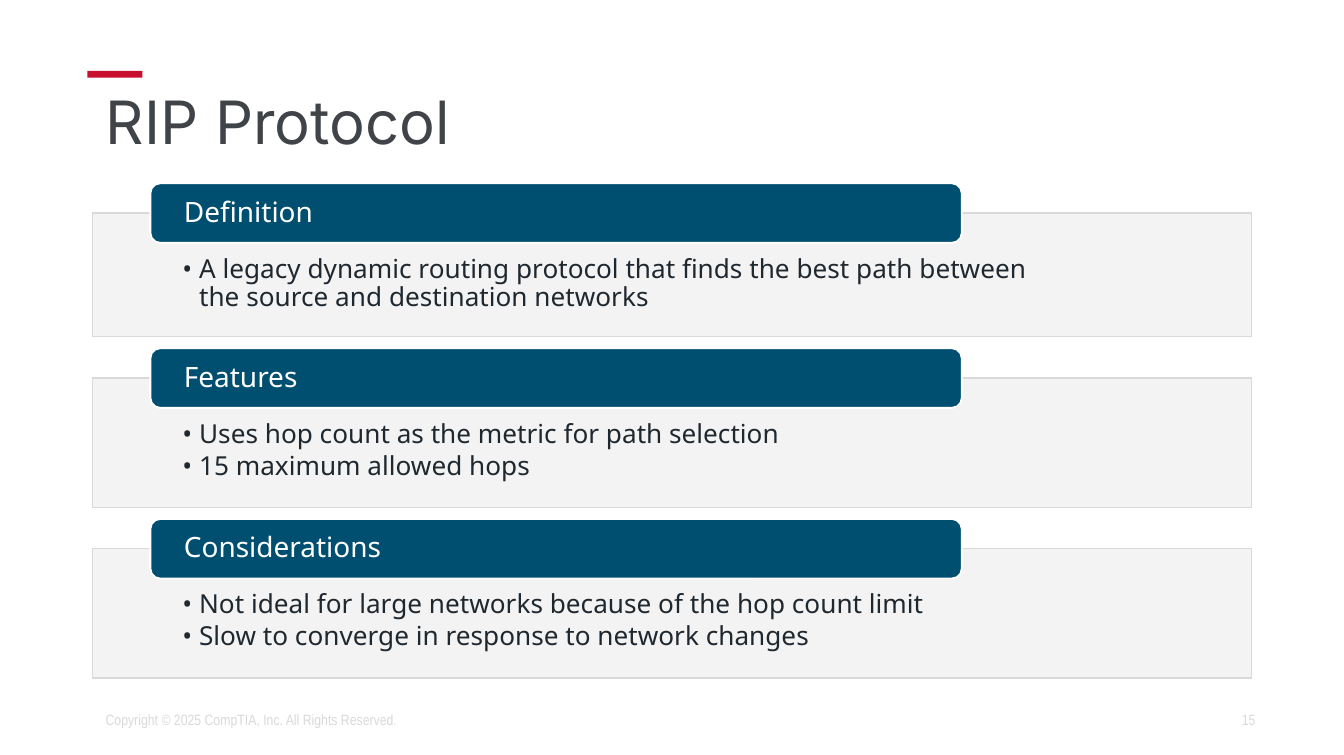
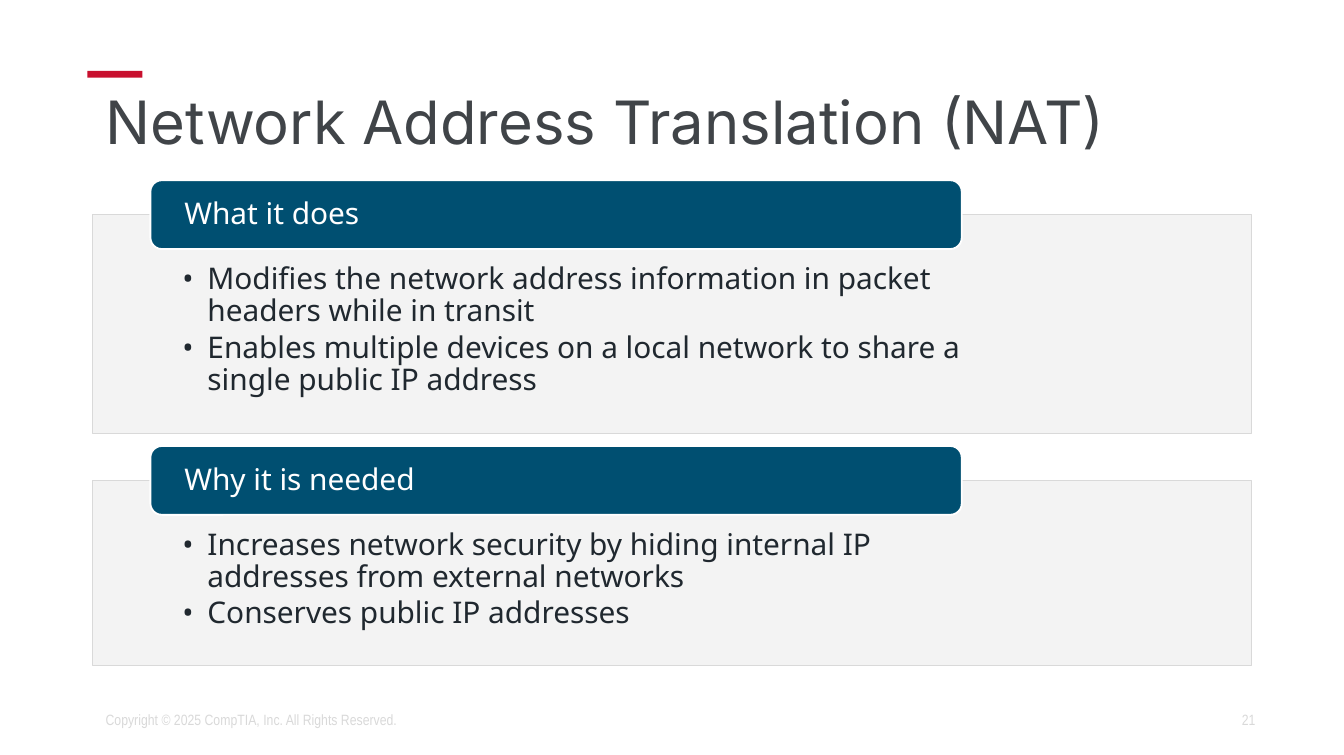
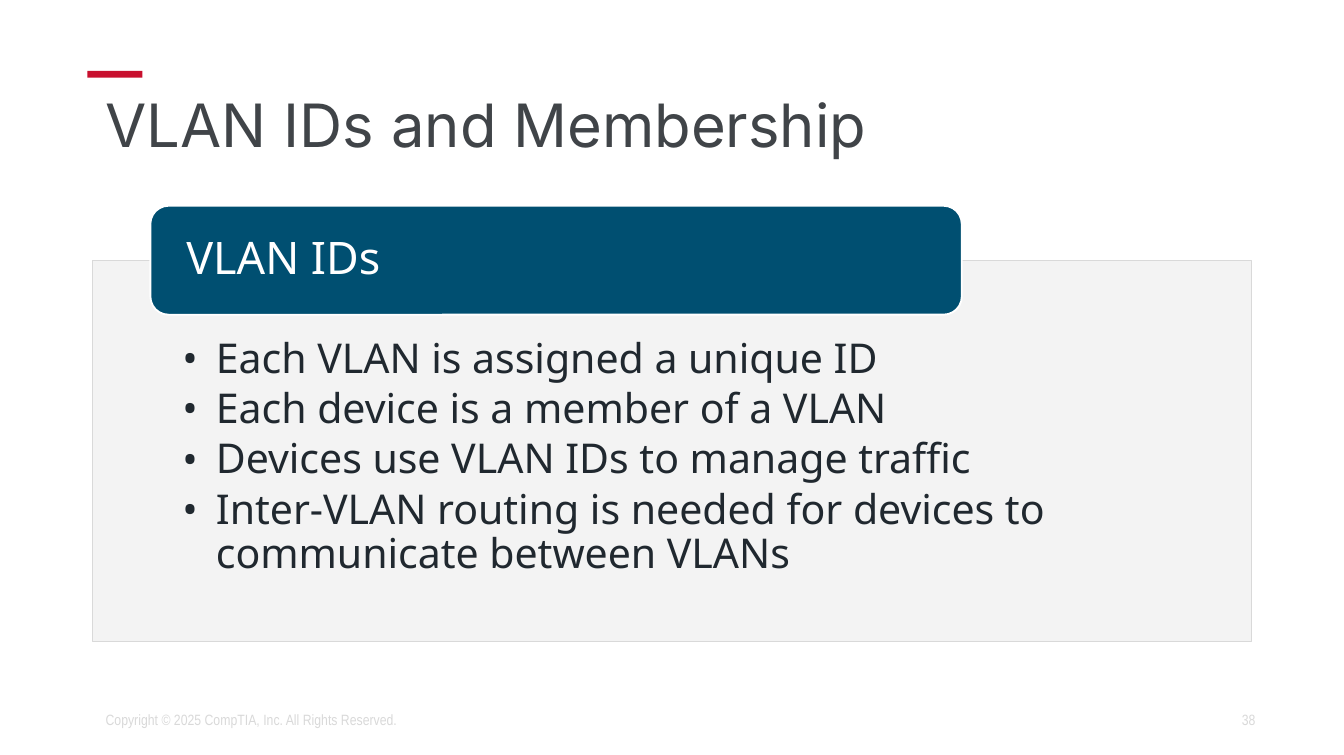
from lxml import etree
from pptx import Presentation
from pptx.dml.color import RGBColor
from pptx.enum.shapes import MSO_SHAPE
from pptx.enum.text import MSO_ANCHOR, PP_ALIGN
from pptx.oxml.ns import qn
from pptx.util import Pt

COLORS = {
    "accent": "C8102E",
    "title": "404448",
    "footer": "D9D9D9",
    "panel": "F2F2F2",
    "panel_line": "D9D9D9",
    "tab": "004F71",
    "white": "FFFFFF",
    "body": "20282F",
}
TITLE_FONT, BODY_FONT, FOOTER_FONT = "Inter", "Noto Sans", "Arial Narrow"
COPYRIGHT = "Copyright © 2025 CompTIA, Inc. All Rights Reserved."
LEFT, WIDTH = 49.5, 621
TAB_LEFT, TAB_WIDTH = 80.55, 434.7


def color(name):
    return RGBColor.from_string(COLORS[name])


class Deck:
    """Shared style, and the slide being filled."""

    def __init__(self):
        self.prs = Presentation()
        self.prs.slide_width, self.prs.slide_height = Pt(720), Pt(404.64)
        self.slide = None

    def start_slide(self, title, number, title_anchor=MSO_ANCHOR.TOP):
        self.slide = self.prs.slides.add_slide(self.prs.slide_layouts[5])
        self.box(MSO_SHAPE.RECTANGLE, 46.8, 38, 29.5, 3.6, "accent")
        heading = self.slide.shapes.title
        heading.left, heading.top = Pt(LEFT), Pt(46.1)
        heading.width, heading.height = Pt(WIDTH), Pt(45.4)
        frame = heading.text_frame
        frame.text = title
        frame.vertical_anchor = title_anchor
        self.style(frame.paragraphs[0], TITLE_FONT, 32, "title", spacing=0.9)
        self.footer(COPYRIGHT, LEFT, 310.3, PP_ALIGN.LEFT)
        self.footer(str(number), 508.3, 171.4, PP_ALIGN.RIGHT)

    def style(self, paragraph, font, size, color_name, align=PP_ALIGN.LEFT, spacing=1.0):
        paragraph.alignment = align
        paragraph.line_spacing = spacing
        for run in paragraph.runs:
            run.font.name, run.font.size = font, Pt(size)
            run.font.color.rgb = color(color_name)
        for line_break in paragraph._p.findall(qn("a:br")):
            etree.SubElement(line_break, qn("a:rPr"), sz=str(size * 100))

    def footer(self, text, left, width, align):
        note = self.slide.shapes.add_textbox(Pt(left), Pt(374.8), Pt(width), Pt(21.6))
        frame = note.text_frame
        frame.word_wrap = True
        frame.vertical_anchor = MSO_ANCHOR.MIDDLE
        frame.text = text
        self.style(frame.paragraphs[0], FOOTER_FONT, 8, "footer", align)

    def box(self, kind, left, top, width, height, fill, line=None, line_width=0.75):
        shape = self.slide.shapes.add_shape(kind, Pt(left), Pt(top), Pt(width), Pt(height))
        shape.shadow.inherit = False
        shape.fill.solid()
        shape.fill.fore_color.rgb = color(fill)
        if line:
            shape.line.color.rgb = color(line)
            shape.line.width = Pt(line_width)
        else:
            shape.line.fill.background()
        return shape

    def panel(self, top, height, tab_height, bullets, size, indent):
        panel = self.box(MSO_SHAPE.RECTANGLE, LEFT, top, WIDTH, height, "panel", "panel_line")
        panel_fill = panel._element.spPr.find(qn("a:solidFill"))
        etree.SubElement(panel_fill[0], qn("a:alpha"), val="90000")
        frame = panel.text_frame
        frame.word_wrap = True
        frame.vertical_anchor = MSO_ANCHOR.TOP
        frame.margin_left = frame.margin_right = Pt(48.2)
        frame.margin_top, frame.margin_bottom = Pt(0.71 * tab_height), Pt(8)
        for index, bullet in enumerate(bullets):
            paragraph = frame.add_paragraph() if index else frame.paragraphs[0]
            paragraph.text = bullet
            properties = paragraph._p.get_or_add_pPr()
            properties.set("marL", str(Pt(indent)))
            properties.set("indent", str(-Pt(indent)))
            etree.SubElement(properties, qn("a:buFont"), typeface=BODY_FONT)
            etree.SubElement(properties, qn("a:buChar"), char="•")
            paragraph.space_after = Pt(0.15 * size)
            self.style(paragraph, BODY_FONT, size, "body", spacing=0.9)

    def tab(self, top, height, text, size):
        tab = self.box(MSO_SHAPE.ROUNDED_RECTANGLE, TAB_LEFT, top, TAB_WIDTH, height,
                       "tab", "white", 1)
        frame = tab.text_frame
        frame.word_wrap = True
        frame.vertical_anchor = MSO_ANCHOR.MIDDLE
        frame.margin_left = frame.margin_right = Pt(16.4)
        frame.margin_top = frame.margin_bottom = 0
        frame.text = text
        self.style(frame.paragraphs[0], BODY_FONT, size, "white", spacing=0.9)

    def sections(self, entries, top, tab_height, gap, tab_size, body_size, indent):
        """Stack (heading, panel height, bullets) entries, each tab straddling its panel."""
        for heading, height, bullets in entries:
            panel_top = top + tab_height / 2
            self.panel(panel_top, height, tab_height, bullets, body_size, indent)
            self.tab(top, tab_height, heading, tab_size)
            top = panel_top + height + gap


def main():
    deck = Deck()

    deck.start_slide("RIP Protocol", 15)
    deck.sections([
        ("Definition", 66.2, [
            "A legacy dynamic routing protocol that finds the best path between \n"
            "the source and destination networks"]),
        ("Features", 69.3, [
            "Uses hop count as the metric for path selection",
            "15 maximum allowed hops"]),
        ("Considerations", 69.3, [
            "Not ideal for large networks because of the hop count limit",
            "Slow to converge in response to network changes"]),
    ], top=98.2, tab_height=32, gap=6.2, tab_size=15, body_size=14, indent=9)

    deck.start_slide("Network Address Translation (NAT)", 21)
    deck.sections([
        ("What it does", 117.3, [
            "Modifies the network address information in packet \nheaders while in transit",
            "Enables multiple devices on a local network to share a \n"
            "single public IP address"]),
        ("Why it is needed", 99.1, [
            "Increases network security by hiding internal IP \n"
            "addresses from external networks",
            "Conserves public IP addresses"]),
    ], top=96.6, tab_height=36.9, gap=6.7, tab_size=16, body_size=16, indent=13.5)

    deck.start_slide("VLAN IDs and Membership", 38, MSO_ANCHOR.MIDDLE)
    deck.sections([
        ("VLAN IDs", 204.3, [
            "Each VLAN is assigned a unique ID",
            "Each device is a member of a VLAN",
            "Devices use VLAN IDs to manage traffic",
            "Inter-VLAN routing is needed for devices to communicate between VLANs"]),
    ], top=110.3, tab_height=58.4, gap=0, tab_size=24, body_size=22, indent=18)

    deck.prs.save("out.pptx")


if __name__ == "__main__":
    main()
